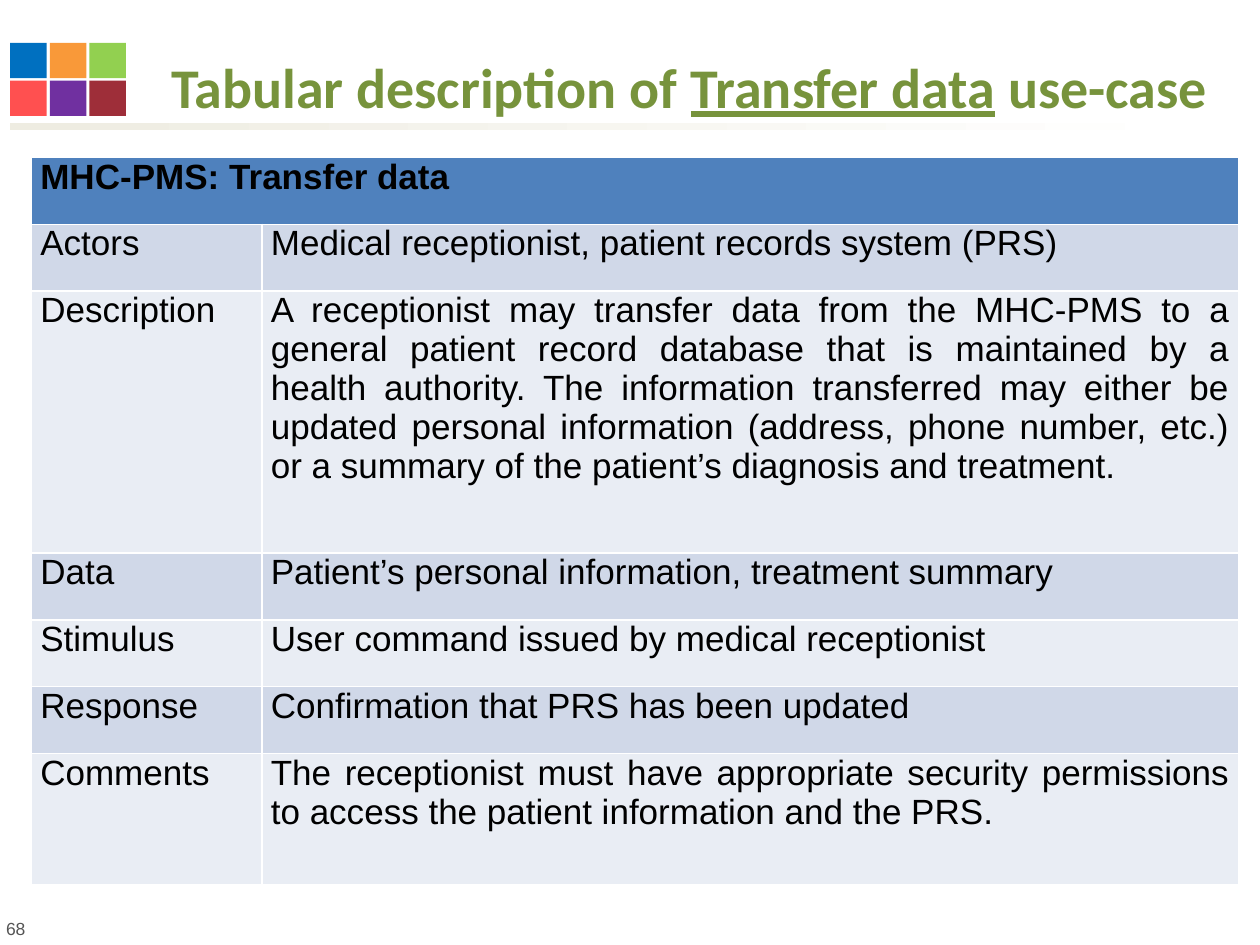
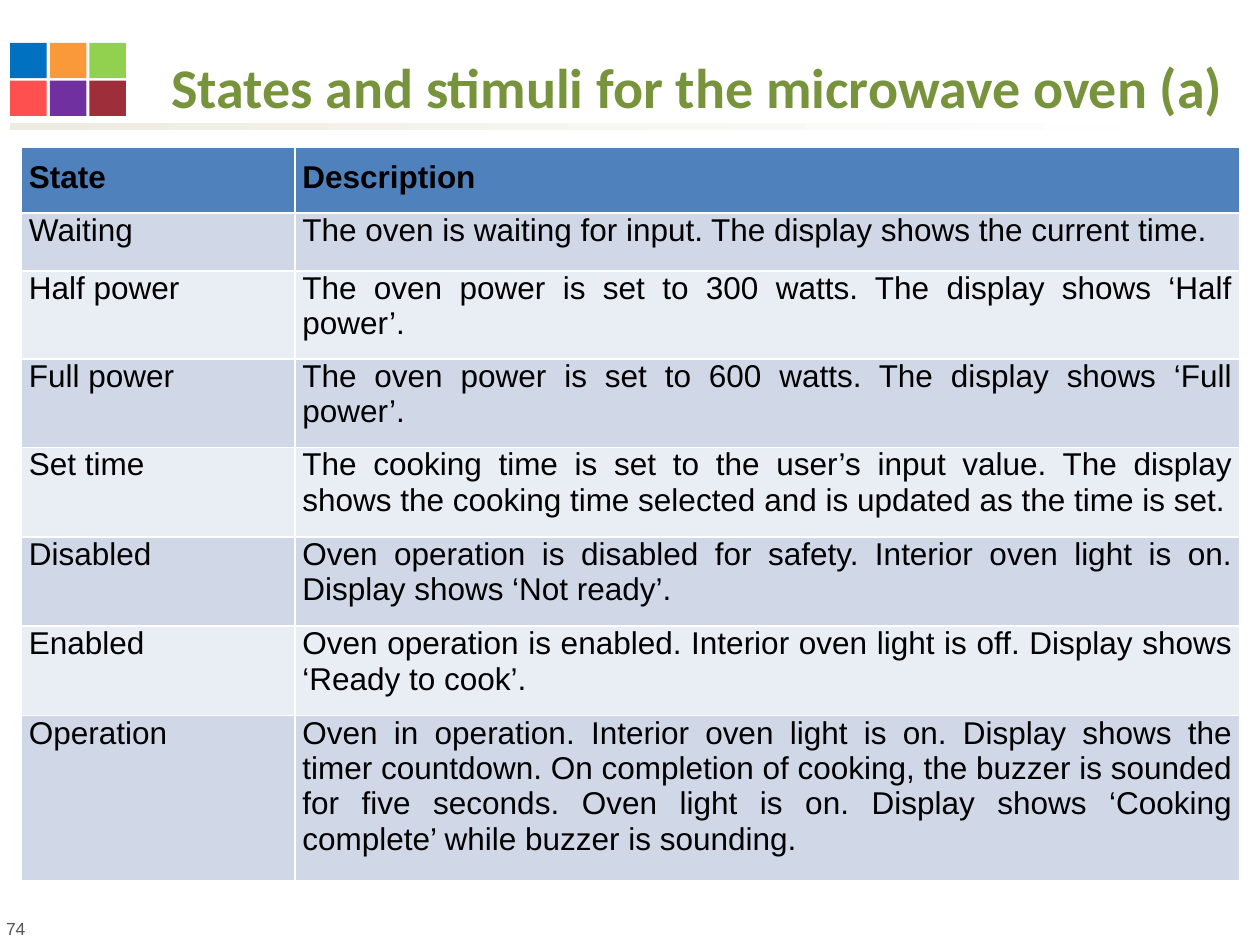
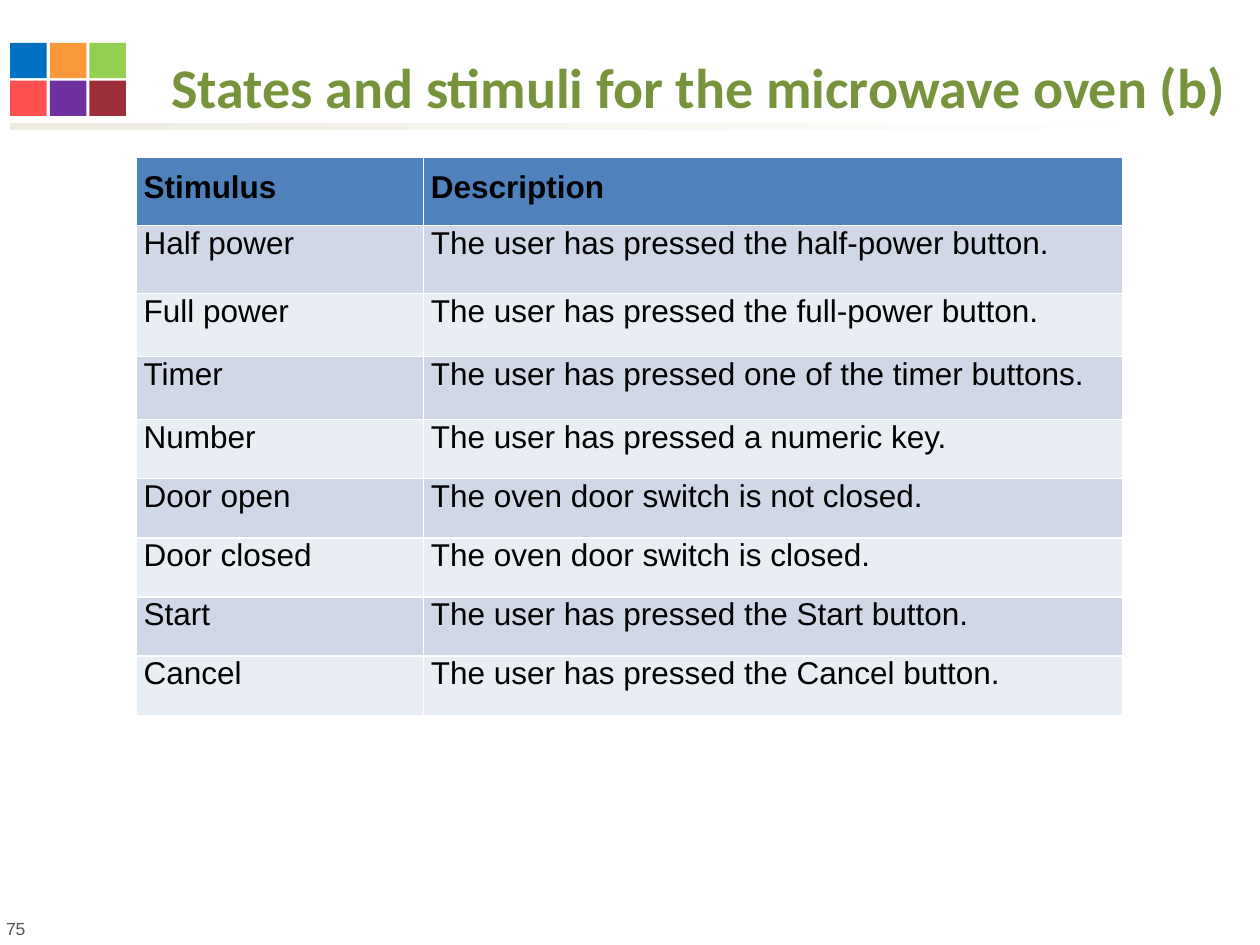
from pptx import Presentation
from pptx.dml.color import RGBColor
from pptx.enum.shapes import MSO_SHAPE
from pptx.enum.text import MSO_ANCHOR, MSO_AUTO_SIZE, PP_ALIGN
from pptx.util import Inches, Pt

COLORS = {
    "title": "77933C", "number": "555555", "text": "000000",
    "header": "4F81BD", "odd": "D0D8E8", "even": "E9EDF4",
    "rule_start": "EEECE1", "rule_end": "FFFFFF",
}
SQUARES = [["0070C0", "F99939", "92D050"], ["FF5050", "7030A0", "9E2E39"]]

SLIDES = [
    {
        "number": "68",
        "title": [("Tabular description of ", False), ("Transfer data", True), (" use-case", False)],
        "at": (0.25, 1.25), "size": 20, "side": 0.07, "pad": 0,
        "cols": [1.83, 7.75],
        "heights": [0.53, 0.53, 2.08, 0.53, 0.53, 0.53, 1.04],
        "rows": [
            ("MHC-PMS: Transfer data",),
            ("Actors", "Medical receptionist, patient records system (PRS)"),
            ("Description", "A receptionist may transfer data from the MHC-PMS to a general "
             "patient record database that is maintained by a health authority. The information "
             "transferred may either be updated personal information (address, phone number, etc.) "
             "or a summary of the patient’s diagnosis and treatment."),
            ("Data", "Patient’s personal information, treatment summary"),
            ("Stimulus", "User command issued by medical receptionist"),
            ("Response", "Confirmation that PRS has been updated"),
            ("Comments", "The receptionist must have appropriate security permissions to access "
             "the patient information and the PRS."),
        ],
    },
    {
        "number": "74",
        "title": [("States and stimuli for the microwave oven (a)", False)],
        "at": (0.17, 1.17), "size": 18, "side": 0.06, "pad": 0.1,
        "cols": [2.17, 7.5],
        "heights": [0.52, 0.46, 0.46, 0.46, 0.71, 0.71, 0.71, 1.31],
        "rows": [
            ("State", "Description"),
            ("Waiting", "The oven is waiting for input. The display shows the current time."),
            ("Half power", "The oven power is set to 300 watts. The display shows ‘Half power’."),
            ("Full power", "The oven power is set to 600 watts. The display shows ‘Full power’."),
            ("Set time", "The cooking time is set to the user’s input value. The display shows "
             "the cooking time selected and is updated as the time is set."),
            ("Disabled", "Oven operation is disabled for safety. Interior oven light is on. "
             "Display shows ‘Not ready’."),
            ("Enabled", "Oven operation is enabled. Interior oven light is off. "
             "Display shows ‘Ready to cook’."),
            ("Operation", "Oven in operation. Interior oven light is on. Display shows the timer "
             "countdown. On completion of cooking, the buzzer is sounded for five seconds. Oven "
             "light is on. Display shows ‘Cooking complete’ while buzzer is sounding."),
        ],
    },
    {
        "number": "75",
        "title": [("States and stimuli for the microwave oven (b)", False)],
        "at": (1.08, 1.25), "size": 18, "side": 0.06, "pad": 0.1,
        "cols": [2.28, 5.55],
        "heights": [0.54, 0.54, 0.5, 0.5, 0.47, 0.47, 0.47, 0.47, 0.47],
        "rows": [
            ("Stimulus", "Description"),
            ("Half power", "The user has pressed the half-power button."),
            ("Full power", "The user has pressed the full-power button."),
            ("Timer", "The user has pressed one of the timer buttons."),
            ("Number", "The user has pressed a numeric key."),
            ("Door open", "The oven door switch is not closed."),
            ("Door closed", "The oven door switch is closed."),
            ("Start", "The user has pressed the Start button."),
            ("Cancel", "The user has pressed the Cancel button."),
        ],
    },
]


def add_run(p, text, size, color, font="Arial", bold=False):
    r = p.add_run()
    r.text = text
    r.font.name = font
    r.font.size = Pt(size)
    r.font.bold = bold
    r.font.color.rgb = RGBColor.from_string(COLORS[color])
    return r


def add_rect(s, left, top, width, height):
    sp = s.shapes.add_shape(MSO_SHAPE.RECTANGLE, Inches(left), Inches(top),
                            Inches(width), Inches(height))
    sp.shadow.inherit = False
    sp.line.fill.background()
    return sp


prs = Presentation()
prs.slide_width, prs.slide_height = Inches(10), Inches(7.5)

for data in SLIDES:
    s = prs.slides.add_slide(prs.slide_layouts[5])

    rule = add_rect(s, 0.08, 0.98, 9.48, 0.05)
    rule.fill.gradient()
    rule.fill.gradient_angle = 0
    for stop, position, name in zip(rule.fill.gradient_stops, (0, 1), ("rule_start", "rule_end")):
        stop.position = position
        stop.color.rgb = RGBColor.from_string(COLORS[name])

    for i, line in enumerate(SQUARES):
        for j, color in enumerate(line):
            square = add_rect(s, 0.08 + j * 0.315, 0.34 + i * 0.3, 0.29, 0.28)
            square.fill.solid()
            square.fill.fore_color.rgb = RGBColor.from_string(color)

    number = s.shapes.add_textbox(Inches(-0.05), Inches(7.24), Inches(5.8), Inches(0.27))
    number.text_frame.word_wrap = True
    add_run(number.text_frame.paragraphs[0], data["number"], 10, "number")

    title = s.shapes.title
    title.left, title.top = Inches(1.26), Inches(0.17)
    title.width, title.height = Inches(8.74), Inches(0.83)
    tf = title.text_frame
    tf.auto_size = MSO_AUTO_SIZE.NONE
    tf.vertical_anchor = MSO_ANCHOR.BOTTOM
    p = tf.paragraphs[0]
    p.alignment = PP_ALIGN.LEFT
    for text, underlined in data["title"]:
        r = add_run(p, text, 32, "title", "Calibri", True)
        r.font.underline = underlined

    left, top = data["at"]
    table = s.shapes.add_table(len(data["rows"]), len(data["cols"]), Inches(left), Inches(top),
                               Inches(sum(data["cols"])), Inches(sum(data["heights"]))).table
    for column, width in zip(table.columns, data["cols"]):
        column.width = Inches(width)
    for i, (texts, height) in enumerate(zip(data["rows"], data["heights"])):
        table.rows[i].height = Inches(height)
        band = "header" if i == 0 else "odd" if i % 2 else "even"
        if len(texts) == 1:
            table.cell(i, 0).merge(table.cell(i, 1))
        for j, text in enumerate(texts):
            cell = table.cell(i, j)
            cell.margin_left = cell.margin_right = Inches(data["side"])
            cell.margin_top = Inches(data["pad"] if i == 0 else 0)
            cell.margin_bottom = Inches(data["pad"])
            cell.fill.solid()
            cell.fill.fore_color.rgb = RGBColor.from_string(COLORS[band])
            p = cell.text_frame.paragraphs[0]
            p.alignment = PP_ALIGN.JUSTIFY
            add_run(p, text, data["size"], "text", bold=i == 0)

prs.save("out.pptx")
